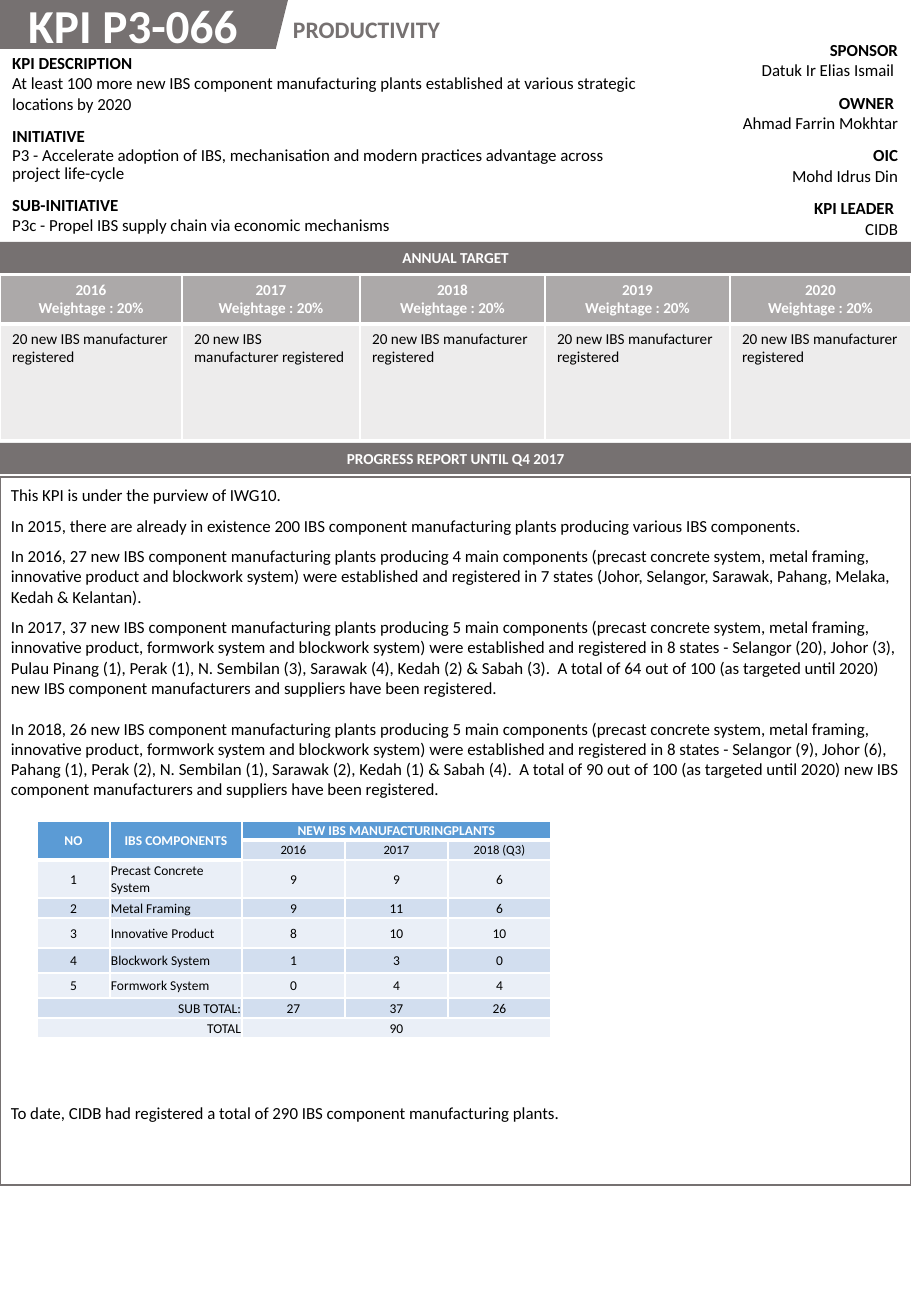
from lxml import etree
from pptx import Presentation
from pptx.dml.color import RGBColor
from pptx.enum.shapes import MSO_SHAPE
from pptx.enum.text import MSO_ANCHOR, MSO_AUTO_SIZE, PP_ALIGN
from pptx.oxml.ns import qn
from pptx.util import Pt

LEFT, CENTER, RIGHT = PP_ALIGN.LEFT, PP_ALIGN.CENTER, PP_ALIGN.RIGHT
TOP, MIDDLE = MSO_ANCHOR.TOP, MSO_ANCHOR.MIDDLE
RECTANGLE, PARALLELOGRAM = MSO_SHAPE.RECTANGLE, MSO_SHAPE.PARALLELOGRAM
NO_AUTOFIT = MSO_AUTO_SIZE.NONE
PX = 7526
NO_STYLE = "{2D5ABB26-0587-4C30-8999-92F81FD0307C}"
THEME = {
    "font": "Calibri", "grey": "767171", "white": "FFFFFF", "black": "000000",
    "blue": "5B9BD5", "band_dark": "D2DEEF", "band_light": "EAEFF7",
    "kpi": 28, "pillar": 14, "body": 10, "target": 9, "small": 8, "year": 7.5,
}


def write(frame, lines, size, color="black", bold_lines=0, align=LEFT):
    frame.word_wrap = True
    for number, line in enumerate(lines):
        paragraph = frame.add_paragraph() if number else frame.paragraphs[0]
        paragraph.text = line
        paragraph.alignment = align
        paragraph.font.name = THEME["font"]
        paragraph.font.size = Pt(THEME[size])
        paragraph.font.bold = number < bold_lines
        paragraph.font.color.rgb = RGBColor.from_string(THEME[color])


def paint_cell(cell, color, bottom_width=1, alpha=100):
    properties = cell._tc.get_or_add_tcPr()
    for side, width in (("L", 1), ("R", 1), ("T", 1), ("B", bottom_width)):
        border = etree.SubElement(properties, qn(f"a:ln{side}"), w=str(Pt(width)))
        solid = etree.SubElement(border, qn("a:solidFill"))
        etree.SubElement(solid, qn("a:srgbClr"), val=THEME["white"])
    cell.fill.solid()
    cell.fill.fore_color.rgb = RGBColor.from_string(THEME[color])
    if alpha < 100:
        tint = properties.find(qn("a:solidFill")).find(qn("a:srgbClr"))
        etree.SubElement(tint, qn("a:alpha"), val=str(alpha * 1000))


prs = Presentation()
prs.slide_width, prs.slide_height = 911 * PX, 1316 * PX
slide = prs.slides.add_slide(prs.slide_layouts[5])
shapes = slide.shapes

blocks = []
for preset, left, top, width, height in (
    (PARALLELOGRAM, -21, 0, 309, 49),
    (RECTANGLE, 0, 477, 911, 708),
    (RECTANGLE, 0, 443, 911, 31),
    (RECTANGLE, 0, 242, 911, 31),
):
    block = shapes.add_shape(preset, left * PX, top * PX, width * PX, height * PX)
    block.shadow.inherit = False
    block.fill.solid()
    block.fill.fore_color.rgb = RGBColor.from_string(THEME["grey"])
    block.line.fill.background()
    blocks.append(block)
title_banner, report_panel, report_bar, target_bar = blocks
report_panel.fill.background()
report_panel.line.color.rgb = RGBColor.from_string(THEME["grey"])
report_panel.line.width = Pt(1.5)
for bar, heading in (
    (report_bar, "PROGRESS REPORT UNTIL Q4 2017"),
    (target_bar, "ANNUAL TARGET"),
):
    bar.text_frame.vertical_anchor = MIDDLE
    write(bar.text_frame, [heading], "target", "white", 1, CENTER)

kpi = shapes.title
kpi.left, kpi.top, kpi.width, kpi.height = 16 * PX, -10 * PX, 272 * PX, 69 * PX
kpi.text_frame.auto_size = NO_AUTOFIT
kpi.text_frame.vertical_anchor = TOP
write(kpi.text_frame, ["KPI P3-066"], "kpi", "white", 1)
title_banner._element.addnext(kpi._element)

pillar = shapes.add_textbox(281 * PX, 9 * PX, 176 * PX, 41 * PX)
write(pillar.text_frame, ["PRODUCTIVITY"], "pillar", "grey", 1)
pillar.text_frame.word_wrap = False

people = [
    ("SPONSOR", "Datuk Ir Elias Ismail "),
    ("OWNER ", "Ahmad Farrin Mokhtar"),
    ("OIC", "Mohd Idrus Din"),
    ("KPI LEADER ", "CIDB"),
]
scope = [
    ("KPI DESCRIPTION", "At least 100 more new IBS component manufacturing plants established at various strategic locations by 2020"),
    ("INITIATIVE", "P3 - Accelerate adoption of IBS, mechanisation and modern practices advantage across project life-cycle"),
    ("SUB-INITIATIVE", "P3c - Propel IBS supply chain via economic mechanisms"),
]
years = ["2016", "2017", "2018", "2019", "2020"]
components = [
    ["NO", "IBS COMPONENTS", "NEW IBS MANUFACTURINGPLANTS", "", ""],
    ["", "", "2016", "2017", "2018 (Q3)"],
    ["1", "Precast Concrete System", "9", "9", "6"],
    ["2", "Metal Framing", "9", "11", "6"],
    ["3", "Innovative Product", "8", "10", "10"],
    ["4", "Blockwork System", "1", "3", "0"],
    ["5", "Formwork System", "0", "4", "4"],
    ["SUB TOTAL:", "", "27", "37", "26"],
    ["TOTAL", "", "90", "", ""],
]

tables = []
for left, top, widths, heights in (
    (573, 34, [337], [53] * 4),
    (0, 47, [660], [73, 69, 53]),
    (0, 275, [182, 178, 185, 185, 181], [48, 116]),
    (37, 821, [73, 132, 103, 103, 103], [19, 20, 38, 20, 30, 25, 25, 20, 20]),
):
    table = shapes.add_table(
        len(heights), len(widths), left * PX, top * PX, sum(widths) * PX, sum(heights) * PX
    ).table
    table.first_row = table.horz_banding = False
    table._tbl.tblPr.find(qn("a:tableStyleId")).text = NO_STYLE
    for column, width in zip(table.columns, widths):
        column.width = width * PX
    for row, height in zip(table.rows, heights):
        row.height = height * PX
    tables.append(table)
people_table, scope_table, target_table, component_table = tables

for table, entries, align in ((people_table, people, RIGHT), (scope_table, scope, LEFT)):
    for row, entry in enumerate(entries):
        write(table.cell(row, 0).text_frame, entry, "body", bold_lines=1, align=align)
scope_table.cell(1, 0).text_frame.paragraphs[1].line_spacing = 0.88

for column, year in enumerate(years):
    year_cell, goal_cell = target_table.cell(0, column), target_table.cell(1, column)
    write(year_cell.text_frame, [year, "Weightage : 20%"], "target", "white", 2, CENTER)
    paint_cell(year_cell, "grey", 3, 60)
    write(goal_cell.text_frame, ["20 new IBS manufacturer registered"], "target")
    paint_cell(goal_cell, "grey", 1, 13)

for row, values in enumerate(components):
    for column, value in enumerate(values):
        cell = component_table.cell(row, column)
        heading = row == 0 or (row == 1 and column < 2)
        if row > 6 and column < 2:
            align = RIGHT
        else:
            align = LEFT if row > 1 and column == 1 else CENTER
        size = "year" if row == 1 and not heading else "small"
        write(cell.text_frame, [value], size, "white" if heading else "black", int(heading), align)
        cell.vertical_anchor = MIDDLE
        cell.margin_left = cell.margin_right = cell.margin_top = PX
        cell.margin_bottom = 0
        band = "band_dark" if row % 2 else "band_light"
        paint_cell(cell, "blue" if heading else band, 3 if heading else 1)
for first_row, first_column, last_row, last_column in (
    (0, 0, 1, 0), (0, 1, 1, 1), (0, 2, 0, 4), (7, 0, 7, 1), (8, 0, 8, 1), (8, 2, 8, 4),
):
    component_table.cell(first_row, first_column).merge(component_table.cell(last_row, last_column))

progress = [
    (0, "This KPI is under the purview of IWG10."),
    (6, "In 2015, there are already in existence 200 IBS component manufacturing plants producing various IBS components."),
    (6, "In 2016, 27 new IBS component manufacturing plants producing 4 main components (precast concrete system, metal framing, innovative product and blockwork system) were established and registered in 7 states (Johor, Selangor, Sarawak, Pahang, Melaka, Kedah & Kelantan)."),
    (6, "In 2017, 37 new IBS component manufacturing plants producing 5 main components (precast concrete system, metal framing, innovative product, formwork system and blockwork system) were established and registered in 8 states - Selangor (20), Johor (3), Pulau Pinang (1), Perak (1), N. Sembilan (3), Sarawak (4), Kedah (2) & Sabah (3).  A total of 64 out of 100 (as targeted until 2020) new IBS component manufacturers and suppliers have been registered."),
    (12, "In 2018, 26 new IBS component manufacturing plants producing 5 main components (precast concrete system, metal framing, innovative product, formwork system and blockwork system) were established and registered in 8 states - Selangor (9), Johor (6), Pahang (1), Perak (2), N. Sembilan (1), Sarawak (2), Kedah (1) & Sabah (4).  A total of 90 out of 100 (as targeted until 2020) new IBS component manufacturers and suppliers have been registered."),
    (180, "To date, CIDB had registered a total of 290 IBS component manufacturing plants."),
]
report = shapes.add_textbox(-1 * PX, 479 * PX, 912 * PX, 779 * PX)
write(report.text_frame, [text for _, text in progress], "body")
for paragraph, (gap, _) in zip(report.text_frame.paragraphs, progress):
    if gap:
        paragraph.space_before = Pt(gap)

prs.save("out.pptx")
